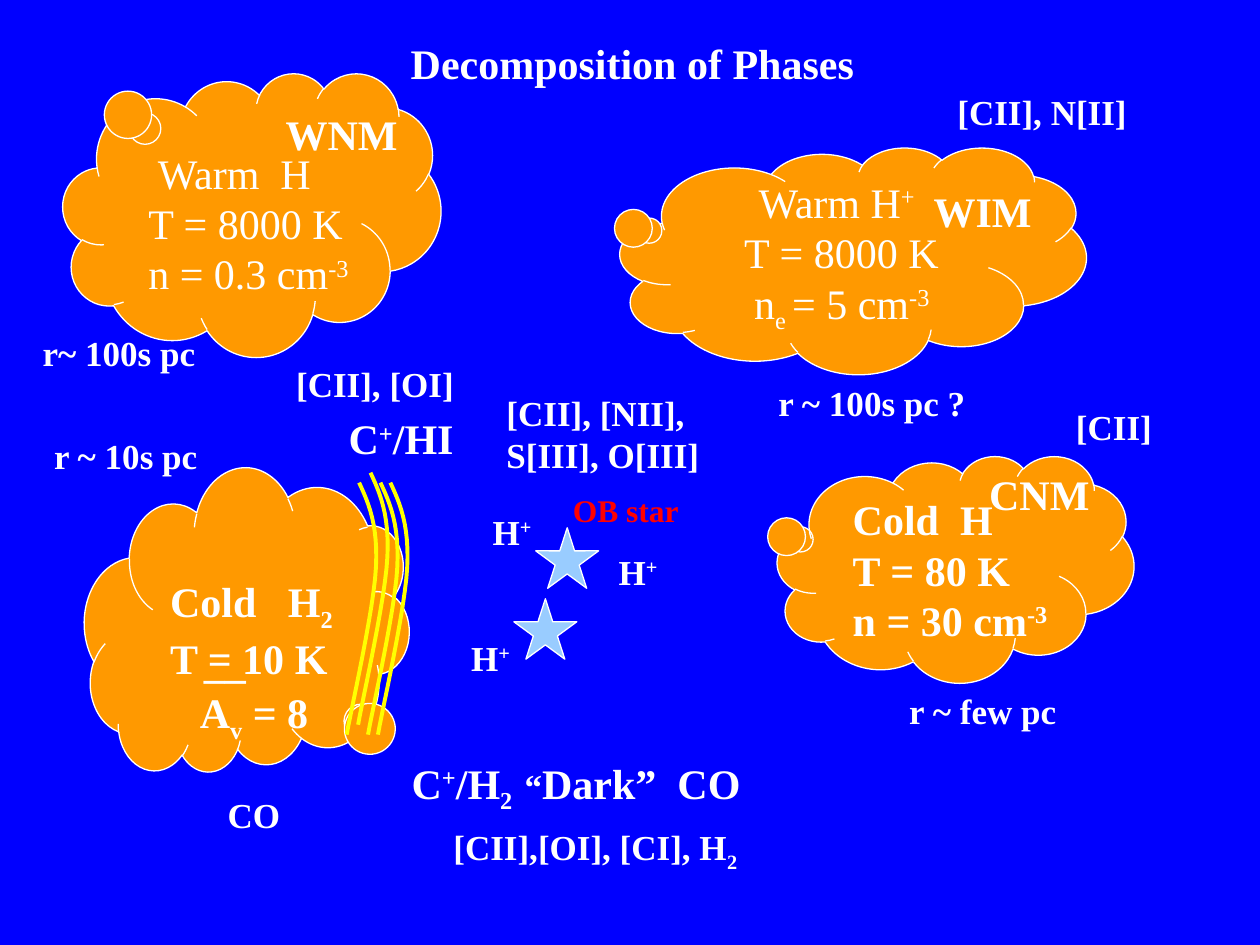
from pptx import Presentation
from pptx.dml.color import RGBColor
from pptx.enum.shapes import MSO_SHAPE
from pptx.enum.text import MSO_ANCHOR, MSO_AUTO_SIZE, PP_ALIGN
from pptx.util import Cm, Pt

WHITE, RED, ORANGE, SKY, YELLOW = "FFFFFF", "FF0000", "FF9900", "99CCFF", "FFFF00"
BASELINES = {"^": "30000", "~": "-25000"}


def rgb(color):
    return RGBColor.from_string(color)


def write(tf, lines, size, bold=True, color=WHITE, align=PP_ALIGN.LEFT):
    """Fill a frame; '|' parts runs, a leading ^ raises a run and ~ lowers it."""
    tf.word_wrap = False
    fmt = {"name": "Times New Roman", "size": Pt(size), "bold": bold}
    for i, line in enumerate(lines):
        p = tf.paragraphs[0] if i == 0 else tf.add_paragraph()
        p.alignment = align
        for part in line.split("|"):
            r = p.add_run()
            r.text = part[1:] if part[0] in BASELINES else part
            for key, value in fmt.items():
                setattr(r.font, key, value)
            r.font.color.rgb = rgb(color)
            if part[0] in BASELINES:
                r.font._element.set("baseline", BASELINES[part[0]])


prs = Presentation()
prs.slide_width, prs.slide_height = Cm(25.4), Cm(19.05)
s = prs.slides.add_slide(prs.slide_layouts[6])
s.background.fill.solid()
s.background.fill.fore_color.rgb = rgb("0000FF")

# Clouds and stars: kind, fill, left, top, width, height, rotation, adjustments
CLOUD, STAR = MSO_SHAPE.CLOUD_CALLOUT, MSO_SHAPE.STAR_5_POINT
shapes = [
    (CLOUD, ORANGE, 1.27, 1.47, 7.62, 5.72, 0, (-0.27, -0.29)),
    (CLOUD, ORANGE, 15.67, 9.19, 7.19, 4.57, 0, (-0.43, -0.13)),
    (CLOUD, ORANGE, 1.7, 9.45, 6.55, 6.15, 181.2, (-0.37, -0.33)),
    (STAR, SKY, 10.8, 10.64, 1.27, 1.22, 0, ()),
    (STAR, SKY, 10.36, 12.07, 1.27, 1.22, 0, ()),
    (CLOUD, ORANGE, 12.5, 2.97, 9.4, 4.57, 0, (-0.43, -0.13)),
]
for kind, fill, x, y, w, h, rotation, adjustments in shapes:
    sp = s.shapes.add_shape(kind, Cm(x), Cm(y), Cm(w), Cm(h))
    sp.shadow.inherit = False
    sp.rotation = rotation
    for i, value in enumerate(adjustments):
        sp.adjustments[i] = value
    sp.fill.solid()
    sp.fill.fore_color.rgb = rgb(fill)
    sp.line.color.rgb = rgb(WHITE)
    sp.line.width = Pt(0.75)

# Warm ionized medium: text inside the last cloud
sp.text_frame.vertical_anchor = MSO_ANCHOR.MIDDLE
write(sp.text_frame, ["Warm H|^+", " T = 8000 K", " n|~e |= 5 cm|^-3"], 24,
      bold=False, align=PP_ALIGN.CENTER)

# Yellow strands: one curve of two Bezier segments, drawn from four starts
segments = [
    ((0, 0), (0.2, 0.43), (0.38, 0.86), (0.34, 1.7)),
    ((0.34, 1.7), (0.3, 2.55), (-0.15, 4.52), (-0.25, 5.08)),
]
STEPS = 12
curve = []
for segment in segments:
    for step in range(1, STEPS + 1):
        t = step / STEPS
        weights = ((1 - t) ** 3, 3 * t * (1 - t) ** 2, 3 * t ** 2 * (1 - t), t ** 3)
        curve.append([sum(k * c for k, c in zip(weights, axis)) for axis in zip(*segment)])
for x, y in [(7.87, 9.73), (7.47, 9.53), (7.67, 9.73), (7.24, 9.73)]:
    builder = s.shapes.build_freeform(Cm(x), Cm(y))
    builder.add_line_segments([(Cm(x + dx), Cm(y + dy)) for dx, dy in curve], close=False)
    sp = builder.convert_to_shape()
    sp.shadow.inherit = False
    sp.fill.background()
    sp.line.color.rgb = rgb(YELLOW)
    sp.line.width = Pt(2.25)

# Text boxes: left, top, width, size, bold, colour, lines
labels = [
    (8.03, 0.64, 9.53, 24, True, WHITE, ["Decomposition of Phases"]),
    # Phase properties
    (2.74, 2.84, 4.65, 24, False, WHITE, [" Warm  H", "T = 8000 K", "n = 0.3 cm|^-3"]),
    (16.94, 9.83, 4.55, 24, True, WHITE, ["Cold  H", "T = 80 K", "n = 30 cm|^-3"]),
    (3.18, 11.48, 3.86, 24, True, WHITE, ["Cold   H|~2", "T = 10 K"]),
    (3.78, 13.72, 2.77, 24, True, WHITE, ["A|~v| = 8"]),
    (3.86, 12.7, 1.4, 24, True, WHITE, ["__"]),
    # Phase names
    (5.51, 2.06, 2.82, 24, True, WHITE, ["WNM"]),
    (18.57, 3.61, 2.54, 24, True, WHITE, ["WIM"]),
    (19.69, 9.32, 2.57, 24, True, WHITE, ["CNM"]),
    # Cloud sizes
    (0.61, 6.55, 3.61, 20, True, WHITE, ["r~ 100s pc"]),
    (0.84, 8.64, 3.43, 20, True, WHITE, ["r ~ 10s pc"]),
    (15.44, 7.57, 4.32, 20, True, WHITE, ["r ~ 100s pc ?"]),
    (18.08, 13.77, 3.51, 20, True, WHITE, ["r ~ few pc"]),
    # Stars and ionized gas
    (11.3, 9.78, 2.67, 18, True, RED, ["OB star"]),
    (12.22, 10.97, 1.35, 20, True, WHITE, ["H|^+"]),
    (9.68, 10.16, 1.35, 20, True, WHITE, ["H|^+"]),
    (9.25, 12.7, 1.35, 20, True, WHITE, ["H|^+"]),
    # Tracer lines
    (19.05, 1.7, 3.96, 20, True, WHITE, ["[CII], N[II]"]),
    (5.72, 7.19, 3.71, 20, True, WHITE, ["[CII], [OI]"]),
    (9.96, 7.77, 4.42, 20, True, WHITE, ["[CII], [NII],", "S[III], O[III]"]),
    (21.44, 8.05, 2.06, 20, True, WHITE, ["[CII]"]),
    (8.89, 16.51, 6.43, 20, True, WHITE, ["[CII],[OI], [CI], H|~2"]),
    (4.34, 15.88, 1.57, 20, True, WHITE, ["CO"]),
    (6.78, 8.2, 2.69, 24, True, WHITE, ["C|^+|/HI"]),
    (8.05, 15.14, 7.47, 24, True, WHITE, ["C|^+|/H|~2  |“|Dark”  CO"]),
]
for x, y, w, size, bold, color, lines in labels:
    height = Pt(1.2 * size * len(lines)) + Cm(0.25)
    tf = s.shapes.add_textbox(Cm(x), Cm(y), Cm(w), height).text_frame
    write(tf, lines, size, bold, color)
    tf.auto_size = MSO_AUTO_SIZE.SHAPE_TO_FIT_TEXT

# Smaller opening quote in the "Dark" label, the last box
tf.paragraphs[0].runs[4].font.size = Pt(20)

prs.save("out.pptx")
